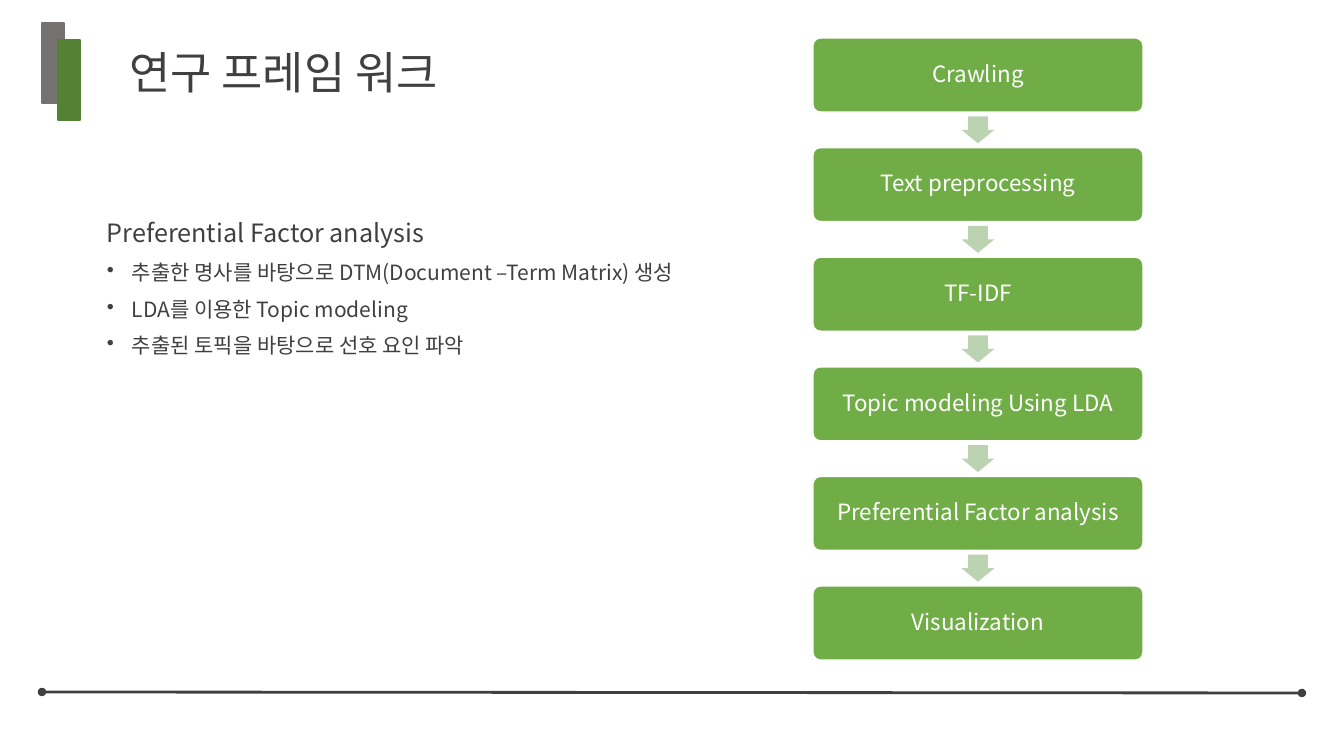
from lxml import etree
from pptx import Presentation
from pptx.dml.color import RGBColor
from pptx.enum.shapes import MSO_CONNECTOR, MSO_SHAPE
from pptx.enum.text import MSO_ANCHOR, PP_ALIGN
from pptx.oxml.ns import qn
from pptx.util import Pt

RECTANGLE, ROUNDED = MSO_SHAPE.RECTANGLE, MSO_SHAPE.ROUNDED_RECTANGLE
DOWN_ARROW, STRAIGHT = MSO_SHAPE.DOWN_ARROW, MSO_CONNECTOR.STRAIGHT
MIDDLE = MSO_ANCHOR.MIDDLE
LEFT, CENTER = PP_ALIGN.LEFT, PP_ALIGN.CENTER

INK = RGBColor(0x40, 0x40, 0x40)
WHITE = RGBColor(0xFF, 0xFF, 0xFF)
GRAY = RGBColor(0x76, 0x71, 0x71)
DARK_GREEN = RGBColor(0x54, 0x82, 0x35)
GREEN = RGBColor(0x70, 0xAD, 0x47)
PALE_GREEN = RGBColor(0xBB, 0xD3, 0xB1)

FONT = "Noto Sans CJK KR"
PIXELS_PER_INCH = 100.8

HEADING = "Preferential Factor analysis"
BULLETS = [
    "추출한 명사를 바탕으로 DTM(Document –Term Matrix) 생성",
    "LDA를 이용한 Topic modeling",
    "추출된 토픽을 바탕으로 선호 요인 파악",
]
STEPS = ["Crawling", "Text preprocessing", "TF-IDF", "Topic modeling Using LDA",
         "Preferential Factor analysis", "Visualization"]


def emu(pixels):
    """Turn pixels into EMU."""
    return round(pixels * 914400 / PIXELS_PER_INCH)


def place(shape, box):
    """Move and size a shape to a pixel box."""
    shape.left, shape.top, shape.width, shape.height = map(emu, box)


def style_paragraph(para, text, size, color, align=LEFT):
    """Fill a paragraph and set its font for Latin and Korean text."""
    para.text = text
    para.alignment = align
    para.line_spacing = 0.9
    font = para.font
    font.size, font.name, font.color.rgb = Pt(size), FONT, color
    defaults = para._p.pPr.find(qn("a:defRPr"))
    etree.SubElement(defaults, qn("a:ea"), typeface=FONT)


def add_bullet(para):
    """Give a paragraph a hanging round bullet."""
    properties = para._p.pPr
    properties.set("marL", str(emu(25)))
    properties.set("indent", str(-emu(25)))
    bullet = etree.Element(qn("a:buChar"), char="•")
    properties.find(qn("a:defRPr")).addprevious(bullet)


def add_filled(page, kind, box, fill, outline=None):
    """Add a flat preset shape with an optional one-point outline."""
    shape = page.shapes.add_shape(kind, *map(emu, box))
    shape.shadow.inherit = False
    shape.fill.solid()
    shape.fill.fore_color.rgb = fill
    if outline is None:
        shape.line.fill.background()
    else:
        shape.line.color.rgb = outline
        shape.line.width = Pt(1)
    return shape


def format_title(page, box, text):
    """Place the title placeholder and write the title."""
    title = page.shapes.title
    place(title, box)
    title.text_frame.vertical_anchor = MIDDLE
    style_paragraph(title.text_frame.paragraphs[0], text, 32, INK)


def add_title_mark(page, box):
    """Draw two overlapping bars, staggered across the box."""
    left, top, width, height = box
    bar_width, bar_height = 22, 80
    add_filled(page, RECTANGLE, (left, top, bar_width, bar_height), GRAY, GRAY)
    add_filled(page, RECTANGLE,
               (left + width - bar_width, top + height - bar_height, bar_width, bar_height),
               DARK_GREEN, DARK_GREEN)


def add_footer_line(page, box):
    """Draw the bottom rule with a dot at each end."""
    left, top, width, height = box
    rule = page.shapes.add_connector(
        STRAIGHT, *map(emu, (left, top, left + width, top + height)))
    rule.line.color.rgb = INK
    rule.line.width = Pt(2)
    for end in ("a:headEnd", "a:tailEnd"):
        etree.SubElement(rule.line._get_or_add_ln(), qn(end), type="oval")
    etree.SubElement(rule._element.spPr, qn("a:effectLst"))


def add_summary(page, box):
    """Write the heading and its bullets."""
    frame = page.shapes.add_textbox(*map(emu, box)).text_frame
    frame.word_wrap = True
    for index, text in enumerate([HEADING, *BULLETS]):
        para = frame.add_paragraph() if index else frame.paragraphs[0]
        style_paragraph(para, text, 15 if index else 18, INK)
        para.space_before = Pt(10)
        if index:
            add_bullet(para)


def add_step(page, box, text):
    """Draw one rounded step with a centred label."""
    step = add_filled(page, ROUNDED, box, GREEN, WHITE)
    step.adjustments[0] = 0.1
    frame = step.text_frame
    frame.word_wrap = True
    frame.vertical_anchor = MIDDLE
    style_paragraph(frame.paragraphs[0], text, 16, WHITE, CENTER)


def add_flow(page, box):
    """Stack the steps evenly, with an arrow centred in each gap."""
    left, top, width, height = box
    step_height, arrow_width, arrow_height = 74, 33, 27
    pitch = (height - step_height) / (len(STEPS) - 1)
    for index, text in enumerate(STEPS):
        step_top = top + index * pitch
        add_step(page, (left, step_top, width, step_height), text)
        if index:
            gap_middle = step_top - (pitch - step_height) / 2
            arrow = add_filled(page, DOWN_ARROW,
                               (left + (width - arrow_width) / 2,
                                gap_middle - arrow_height / 2,
                                arrow_width, arrow_height), PALE_GREEN)
            arrow.adjustments[0], arrow.adjustments[1] = 0.6, 0.5


def build_framework_page(deck):
    """Add the research framework slide."""
    page = deck.slides.add_slide(deck.slide_layouts[5])
    format_title(page, (119, 24, 1141, 101), "연구 프레임 워크")
    add_footer_line(page, (42, 692, 1260, 1))
    add_title_mark(page, (42, 23, 38, 97))
    add_summary(page, (97, 216, 700, 196))
    add_flow(page, (813, 38, 330, 622))


deck = Presentation()
deck.slide_width, deck.slide_height = emu(1344), emu(756)
build_framework_page(deck)
deck.save("out.pptx")
